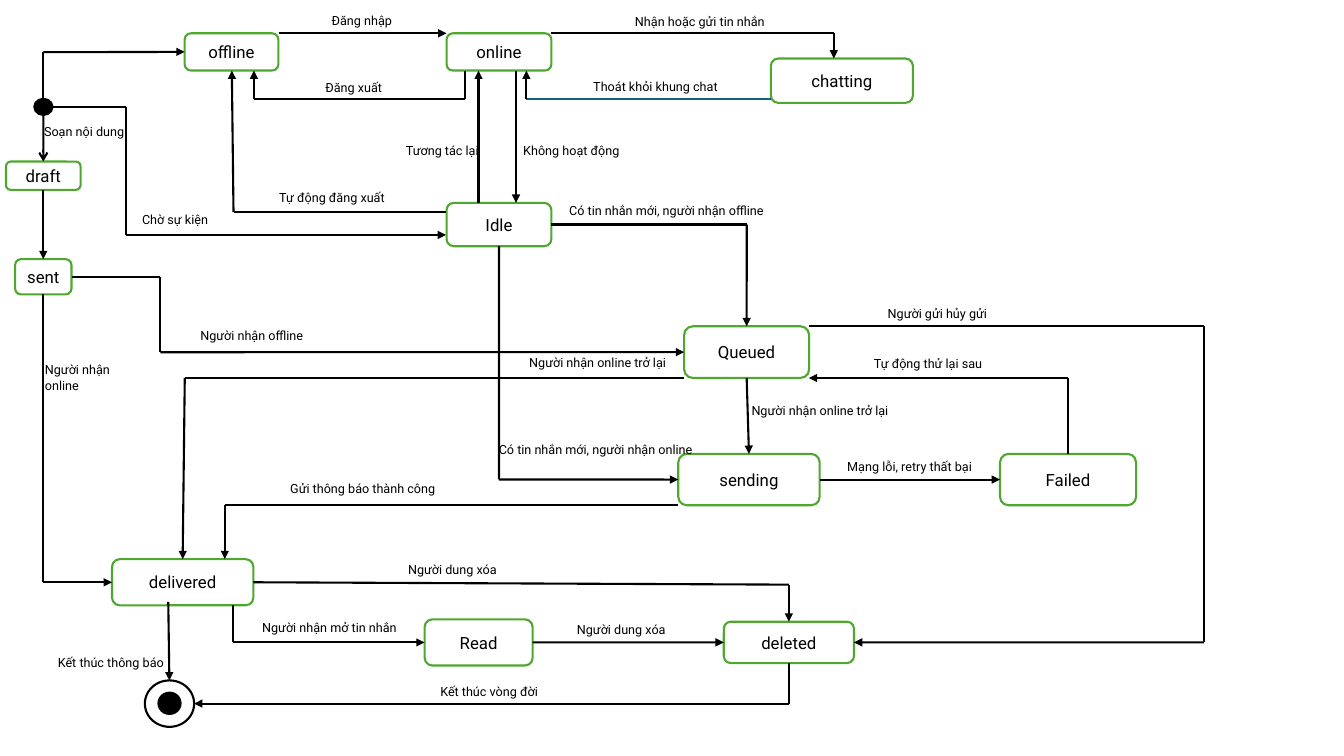
"""Builds the state diagram of a chat user and a message."""
from itertools import pairwise

from pptx import Presentation
from pptx.dml.color import RGBColor
from pptx.enum.shapes import MSO_CONNECTOR as Connector, MSO_SHAPE as Preset
from pptx.enum.text import MSO_ANCHOR as Anchor, MSO_AUTO_SIZE as AutoSize, PP_ALIGN as Align
from pptx.oxml.ns import qn
from pptx.util import Pt
from lxml.etree import SubElement

COLORS = {"ink": "000000", "paper": "FFFFFF", "state": "4EA72E", "exit": "156082"}
FONT = "Roboto"
TOP, LEFT, BOTTOM, RIGHT = range(4)

STATES = {
    "draft": (4.3, 115.4, 53.3, 20.2),
    "sent": (10.8, 185.1, 40.3, 25.2),
    "offline": (131.9, 23.8, 67, 26.6),
    "online": (319, 23.8, 74.9, 26.6),
    "chatting": (550.6, 41.8, 101.5, 31.7),
    "Idle": (319, 144.9, 74.9, 31),
    "Queued": (488.7, 233.1, 89.3, 36.9),
    "sending": (484.5, 324.2, 101, 36.7),
    "Failed": (714.3, 324.2, 97.2, 36.7),
    "delivered": (80, 399.4, 101, 33),
    "Read": (303.3, 442.4, 77.2, 33),
    "deleted": (517, 444.1, 93, 29.5),
}

ROUTES = [
    [("draft", BOTTOM), ("sent", TOP)],
    [(31, 70.6), (31, 37.3), ("offline", LEFT)],
    [(199, 23.8), (319, 23.8)],
    [(332.3, 50.4), (332.3, 70.8), (181.4, 70.8), (181.4, 50.4)],
    [(393.9, 23.8), (595.6, 23.8), (595.6, 41.8)],
    [(376, 70.8), (376, 50.4)],
    [(368.6, 50.4), (368.6, 144.9)],
    [(341.8, 144.9), (341.8, 50.4)],
    [(318.6, 151.6), (166.8, 151.6), (165.6, 50.4)],
    [(37.5, 76.3), (90, 76.3), (90, 167.8), (318.6, 167.8)],
    [("Idle", RIGHT), (533.4, 160.4), ("Queued", TOP)],
    [("sent", RIGHT), (114.6, 197.7), (114.6, 251.6), ("Queued", LEFT)],
    [("Queued", BOTTOM), ("sending", TOP)],
    [("sending", RIGHT), ("Failed", LEFT)],
    [("Failed", TOP), (762.9, 270), (577.8, 270)],
    [("Idle", BOTTOM), (356.4, 342.5), ("sending", LEFT)],
    [("sent", BOTTOM), (30.95, 415.9), ("delivered", LEFT)],
    [(488.7, 270), (132, 270), ("delivered", TOP)],
    [(484.5, 360.9), (160.6, 360.9), (160.6, 399.4)],
    [(166.6, 432.4), (166.6, 458.9), ("Read", LEFT)],
    [("Read", RIGHT), ("deleted", LEFT)],
    [("delivered", RIGHT), (563.5, 417.6), ("deleted", TOP)],
    [(578, 233.1), (860, 233.1), (860, 458.9), ("deleted", RIGHT)],
    [(120.2, 430), (121, 486)],
    [("deleted", BOTTOM), (563.5, 502.6), (138.6, 502.6)],
]

LABELS = [
    ("Soạn nội dung", 24.4, 85.2, 80),
    ("Chờ sự kiện", 94.4, 147.7, 177),
    ("Đăng nhập", 229.8, 5.9, 107),
    ("Đăng xuất", 225.3, 53.6, 145),
    ("Tự động đăng xuất", 192.4, 132, 133),
    ("Tương tác lại", 282.8, 98.6, 140),
    ("Không hoạt động", 366.6, 98.2, 107),
    ("Nhận hoặc gửi tin nhắn", 446.5, 6.4, 127),
    ("Thoát khỏi khung chat", 416.7, 52.5, 153),
    ("Có tin nhắn mới, người nhận offline", 399.5, 141.4, 155),
    ("Người nhận offline", 136, 230.4, 102),
    ("Có tin nhắn mới, người nhận online", 349.2, 312, 164),
    ("Người gửi hủy gửi", 627, 215.1, 165),
    ("Tự động thử lại sau", 617.2, 250.8, 139),
    ("Người nhận online trở lại", 529.7, 284.4, 146),
    ("Mạng lỗi, retry thất bại", 598.1, 324.2, 113),
    ("Người nhận online trở lại", 370.9, 250.3, 126),
    ("Gửi thông báo thành công", 200.2, 340.1, 158),
    ("Người nhận online", 25, 255.2, 87),
    ("Người dung xóa", 284.4, 397.6, 183),
    ("Người nhận mở tin nhắn", 180.2, 439.4, 141),
    ("Người dung xóa", 405, 440.6, 155),
    ("Kết thúc vòng đời", 307.4, 484.9, 218),
    ("Kết thúc thông báo", 34.2, 464, 112),
]


def rgb(color):
    """Look up a named colour."""
    return RGBColor.from_string(COLORS[color])


def add_node(slide, preset, box, fill, outline):
    """Draw a filled preset with an outline."""
    node = slide.shapes.add_shape(preset, *map(Pt, box))
    node.shadow.inherit = False
    node.fill.solid()
    node.fill.fore_color.rgb = rgb(fill)
    node.line.color.rgb = rgb(outline)
    node.line.width = Pt(1.5)
    return node


def write(frame, wording, size, align):
    """Set one line of text and its format."""
    frame.text = wording
    paragraph = frame.paragraphs[0]
    paragraph.alignment = align
    font = paragraph.runs[0].font
    font.name, font.size = FONT, Pt(size)
    font.color.rgb = rgb("ink")


def add_state(slide, name, box):
    """Draw a named state."""
    state = add_node(slide, Preset.ROUNDED_RECTANGLE, box, "paper", "state")
    state.text_frame.vertical_anchor = Anchor.MIDDLE
    write(state.text_frame, name, 12, Align.CENTER)
    return state


def locate(stop):
    """Give the position of a point or of the middle of a state's side."""
    if stop[0] not in STATES:
        return stop
    left, top, width, height = STATES[stop[0]]
    across, down = ((0.5, 0), (0, 0.5), (0.5, 1), (1, 0.5))[stop[1]]
    return left + across * width, top + down * height


def add_route(slide, states, stops, head="triangle", color="ink"):
    """Draw straight segments through the stops, with a head on the last."""
    for start, end in pairwise(stops):
        ends = map(Pt, (*locate(start), *locate(end)))
        segment = slide.shapes.add_connector(Connector.STRAIGHT, *ends)
        if start[0] in states:
            segment.begin_connect(states[start[0]], start[1])
        if end[0] in states:
            segment.end_connect(states[end[0]], end[1])
        segment.line.color.rgb = rgb(color)
        segment.line.width = Pt(1.5)
        SubElement(segment._element.spPr, qn("a:effectLst"))
    if head:
        SubElement(segment.line._get_or_add_ln(), qn("a:tailEnd"), type=head)


def add_label(slide, wording, left, top, width):
    """Write a transition label."""
    frame = slide.shapes.add_textbox(Pt(left), Pt(top), Pt(width), Pt(18)).text_frame
    frame.word_wrap = True
    frame.auto_size = AutoSize.SHAPE_TO_FIT_TEXT
    write(frame, wording, 9, Align.LEFT)


def main():
    """Build and save the slide."""
    deck = Presentation()
    deck.slide_width, deck.slide_height = Pt(960), Pt(540)
    slide = deck.slides.add_slide(deck.slide_layouts[6])
    add_node(slide, Preset.OVAL, (24.5, 70.6, 13, 11.5), "ink", "ink")
    add_node(slide, Preset.OVAL, (103.5, 486, 35.2, 33.2), "paper", "ink")
    add_node(slide, Preset.OVAL, (113.2, 494.8, 15.8, 15.2), "ink", "ink")
    states = {name: add_state(slide, name, box) for name, box in STATES.items()}
    add_route(slide, states, [(31, 82.1), ("draft", TOP)], head="arrow")
    add_route(slide, states, [(550.6, 70.8), (376, 70.8)], head=None, color="exit")
    for stops in ROUTES:
        add_route(slide, states, stops)
    for label in LABELS:
        add_label(slide, *label)
    deck.save("out.pptx")


if __name__ == "__main__":
    main()
